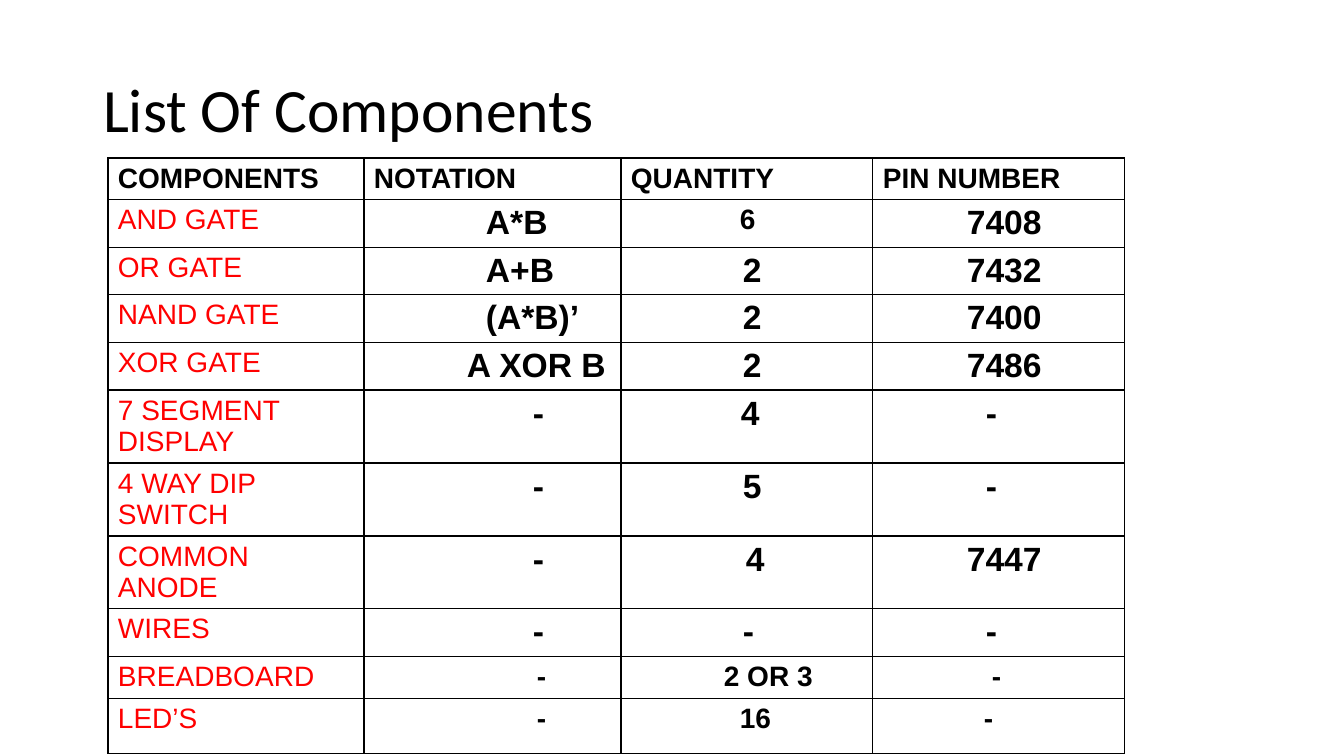
from dataclasses import dataclass

from lxml import etree
from pptx import Presentation
from pptx.dml.color import RGBColor
from pptx.enum.text import MSO_ANCHOR, PP_ALIGN
from pptx.oxml.ns import qn
from pptx.util import Pt

LEFT, TOP, MID = PP_ALIGN.LEFT, MSO_ANCHOR.TOP, MSO_ANCHOR.MIDDLE
SCALE = 914400 / 100.8  # EMU in one px


@dataclass(frozen=True)
class Theme:
    ink: str = "000000"
    red: str = "FF0000"
    head_font: str = "Calibri"
    body_font: str = "Arial"
    title: int = 44
    body: int = 20
    large: int = 24
    rule: int = 1


def px(n):
    return round(n * SCALE)


def write(frame, text, size, color, font, bold=False, space=None):
    para = frame.paragraphs[0]
    para.alignment = LEFT
    para.line_spacing = space
    run = para.add_run()
    run.text = text
    run.font.size = Pt(size)
    run.font.name = font
    run.font.bold = bold
    run.font.color.rgb = RGBColor.from_string(color)


class Page:
    def __init__(self, deck, theme):
        self.theme = theme
        self.slide = deck.slides.add_slide(deck.slide_layouts[5])

    def title(self, text, x, y, w, h):
        t, box = self.theme, self.slide.shapes.title
        box.left, box.top, box.width, box.height = map(px, (x, y, w, h))
        frame = box.text_frame
        frame.word_wrap = True
        frame.vertical_anchor = MID
        write(frame, text, t.title, t.ink, t.head_font, space=0.9)

    def border(self, cell):
        props = cell._tc.get_or_add_tcPr()
        for i, side in enumerate(("a:lnL", "a:lnR", "a:lnT", "a:lnB")):
            line = etree.Element(qn(side), w=str(Pt(self.theme.rule)))
            fill = etree.SubElement(line, qn("a:solidFill"))
            etree.SubElement(fill, qn("a:srgbClr"), val=self.theme.ink)
            props.insert(i, line)

    def cell(self, cell, text, size, color, bold=True, indent=10):
        cell.fill.background()
        cell.vertical_anchor = TOP
        cell.margin_left, cell.margin_right = px(indent), px(10)
        cell.margin_top = cell.margin_bottom = px(5)
        write(cell.text_frame, text, size, color, self.theme.body_font, bold)
        self.border(cell)

    def table(self, x, y, cols, rows, heads, items):
        t = self.theme
        grid = self.slide.shapes.add_table(
            len(rows), len(cols), px(x), px(y), px(sum(cols)), px(sum(rows))).table
        grid.first_row = grid.horz_banding = False
        for col, w in zip(grid.columns, cols):
            col.width = px(w)
        for row, h in zip(grid.rows, rows):
            row.height = px(h)
        for c, head in enumerate(heads):
            self.cell(grid.cell(0, c), head, t.body, t.ink)
        for r, (name, *facts) in enumerate(items, 1):
            self.cell(grid.cell(r, 0), name, t.body, t.red, bold=False)
            for c, (text, indent, size) in enumerate(facts, 1):
                self.cell(grid.cell(r, c), text, size, t.ink, indent=indent)


def main():
    theme = Theme()
    big, small = theme.large, theme.body
    deck = Presentation()
    deck.slide_width, deck.slide_height = px(1344), px(756)
    page = Page(deck, theme)

    # Heading
    page.title("List Of Components", 93, 40, 1159, 146)

    # Each fact is its text, left indent in px and type size
    dash, no_pin = ("-", 169, big), ("-", 113, big)
    low_dash = ("-", 173, small)
    two = ("2", 122, big)
    items = [
        ("AND GATE", ("A*B", 122, big), ("6", 119, small), ("7408", 94, big)),
        ("OR GATE", ("A+B", 122, big), two, ("7432", 94, big)),
        ("NAND GATE", ("(A*B)’", 122, big), two, ("7400", 94, big)),
        ("XOR GATE", ("A XOR B", 103, big), two, ("7486", 94, big)),
        ("7 SEGMENT DISPLAY", dash, ("4", 120, big), no_pin),
        ("4 WAY DIP SWITCH", dash, ("5", 122, big), no_pin),
        ("COMMON ANODE", dash, ("4", 125, big), ("7447", 94, big)),
        ("WIRES", dash, ("-", 122, big), no_pin),
        ("BREADBOARD", low_dash, ("2 OR 3", 103, small), ("-", 119, small)),
        ("LED’S", low_dash, ("16", 119, small), ("-", 111, small)),
    ]

    # Component table
    page.table(
        108, 158,
        cols=(256, 257, 252, 252),
        rows=(41, 48, 47, 48, 47, 73, 73, 72, 48, 42, 55),
        heads=("COMPONENTS", "NOTATION", "QUANTITY", "PIN NUMBER"),
        items=items)

    deck.save("out.pptx")


if __name__ == "__main__":
    main()
